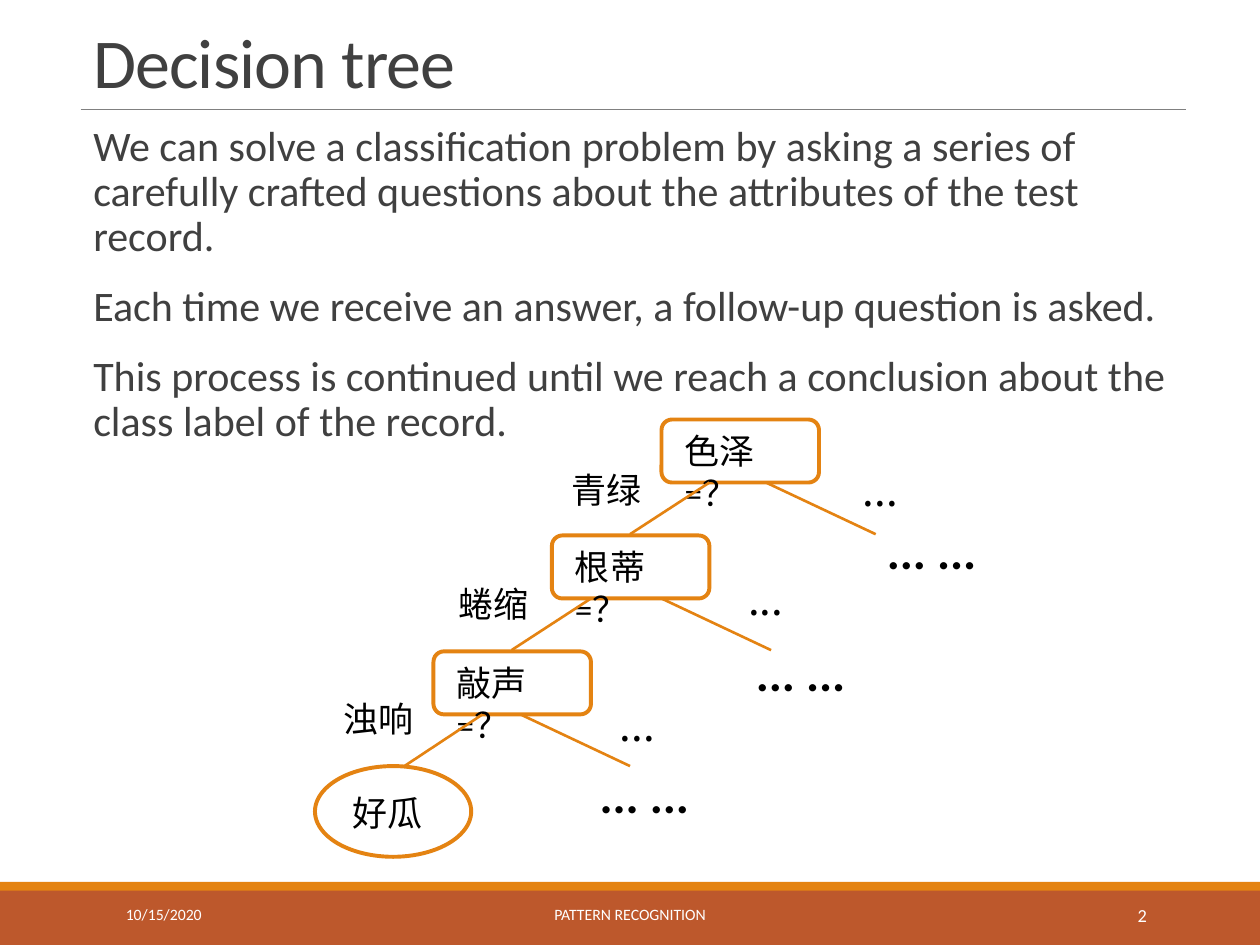
from lxml.etree import SubElement
from pptx import Presentation
from pptx.dml.color import RGBColor
from pptx.enum.shapes import MSO_CONNECTOR, MSO_SHAPE as Shape
from pptx.enum.text import MSO_ANCHOR as Anchor, PP_ALIGN as Align
from pptx.oxml.ns import qn
from pptx.util import Inches, Pt

ORANGE = RGBColor(0xE4, 0x83, 0x12)
RUST = RGBColor(0xBD, 0x58, 0x2C)
INK = RGBColor(0x40, 0x40, 0x40)
GRAY = RGBColor(0x80, 0x80, 0x80)
BLACK = RGBColor(0, 0, 0)
WHITE = RGBColor(0xFF, 0xFF, 0xFF)
LATIN, CJK = "Calibri", "Noto Sans CJK SC"

# Content
TITLE = "Decision tree"
BODY = [
    "We can solve a classification problem by asking a series of carefully "
    "crafted questions about the attributes of the test record.",
    "Each time we receive an answer, a follow-up question is asked.",
    "This process is continued until we reach a conclusion about the class "
    "label of the record.",
]
FOOTER = [  # text, left, width, size, alignment
    ("10/15/2020", 0.9, 2.03, 9, Align.LEFT),
    ("PATTERN RECOGNITION", 3.02, 3.96, 9, Align.CENTER),
    ("2", 8.12, 1.08, 10.5, Align.RIGHT),
]
# Each level: question, node left, answer, then places of the answer label,
# the other-answer label and the unexplored branch
LEVELS = [
    ("色泽=？", 5.25, "青绿", (4.44, 3.67), (6.75, 3.64), (6.94, 4.08)),
    ("根蒂=？", 4.38, "蜷缩", (3.54, 4.57), (5.84, 4.5), (5.9, 5.05)),
    ("敲声=？", 3.44, "浊响", (2.63, 5.49), (4.82, 5.5), (4.66, 6.02)),
]
LEAF = "好瓜"

# Layout
WIDTH, HEIGHT = 10, 7.5
MARGIN, TEXT_WIDTH, RULE_Y = 0.64, 8.77, 0.87
FOOT_Y = 7.06
TREE_TOP, LEVEL_STEP = 3.33, 0.92
NODE_W, NODE_H = 1.25, 0.5
LABEL_W, LABEL_H = 1.08, 0.44
LEAF_BOX = (2.5, 6.08, 1.24, 0.72)
BRANCH_W, BRANCH_H = 0.87, 0.41
# Horizontal ends of the left branch, and start of the right one, per level
BRANCHES = [(5.63, 5, 6.08), (4.69, 4.06, 5.25), (3.83, 3.21, 4.13)]


def inches(*values):
    return [Inches(value) for value in values]


def place(shape, *bounds):
    shape.left, shape.top, shape.width, shape.height = inches(*bounds)


def style(para, size, color, font=LATIN, bold=False):
    for span in para.runs:
        span.font.size, span.font.name, span.font.bold = Pt(size), font, bold
        span.font.color.rgb = color
        SubElement(span.font._element, qn("a:ea")).set("typeface", CJK)


def add_text(shapes, text, bounds, size=20, color=BLACK, font=LATIN,
             bold=False, align=Align.LEFT, anchor=Anchor.TOP):
    box = shapes.add_textbox(*inches(*bounds))
    frame = box.text_frame
    frame.word_wrap, frame.vertical_anchor = True, anchor
    frame.text = text
    para = frame.paragraphs[0]
    para.alignment = align
    style(para, size, color, font, bold)


def add_outline(shapes, kind, bounds):
    shape = shapes.add_shape(kind, *inches(*bounds))
    shape.shadow.inherit = False
    shape.fill.background()
    shape.line.color.rgb, shape.line.width = ORANGE, Pt(2.25)


def add_band(shapes, top, height, color):
    band = shapes.add_shape(Shape.RECTANGLE, *inches(0, top, WIDTH, height))
    band.shadow.inherit = False
    band.fill.solid()
    band.fill.fore_color.rgb = color
    band.line.fill.background()


def add_line(shapes, start, end, color=ORANGE, width=1.5):
    line = shapes.add_connector(MSO_CONNECTOR.STRAIGHT, *inches(*start, *end))
    line.line.color.rgb, line.line.width = color, Pt(width)
    SubElement(line._element.spPr, qn("a:effectLst"))


def add_frame(shapes):
    add_band(shapes, FOOT_Y, HEIGHT - FOOT_Y, RUST)
    add_band(shapes, 7, 0.07, ORANGE)
    add_line(shapes, (MARGIN, RULE_Y), (MARGIN + TEXT_WIDTH, RULE_Y), GRAY, 0.5)
    for text, left, width, size, align in FOOTER:
        add_text(shapes, text, (left, FOOT_Y, width, 0.4), size, WHITE,
                 align=align, anchor=Anchor.MIDDLE)


def fill_title(title):
    place(title, MARGIN, 0.13, TEXT_WIDTH, 0.74)
    frame = title.text_frame
    frame.text, frame.vertical_anchor = TITLE, Anchor.BOTTOM
    para = frame.paragraphs[0]
    para.alignment, para.line_spacing = Align.LEFT, 0.85
    style(para, 40, INK)
    para.runs[0].font._element.set("spc", "-50")


def fill_body(body):
    place(body, MARGIN, 0.94, TEXT_WIDTH, 5.95)
    frame = body.text_frame
    frame.margin_left = frame.margin_right = 0
    frame.text = "\n".join(BODY)
    for index, para in enumerate(frame.paragraphs):
        para.line_spacing = 0.9
        para.space_before, para.space_after = Pt(12 if index else 0), Pt(2)
        props = para._p.get_or_add_pPr()
        props.set("marL", str(Inches(0.1)))
        props.set("indent", str(Inches(-0.1)))
        SubElement(props, qn("a:buChar")).set("char", " ")
        style(para, 24, INK)


def add_tree(shapes):
    pad = (NODE_W - LABEL_W) / 2
    # Question nodes and the leaf
    for row, (question, left, *_) in enumerate(LEVELS):
        top = TREE_TOP + row * LEVEL_STEP
        node = shapes.add_group_shape().shapes
        add_outline(node, Shape.ROUNDED_RECTANGLE, (left, top, NODE_W, NODE_H))
        add_text(node, question, (left + pad, top + 0.03, LABEL_W, LABEL_H))
    add_outline(shapes, Shape.OVAL, LEAF_BOX)
    add_text(shapes, LEAF, (2.7, 6.23, 0.84, LABEL_H))

    # Branches and their labels
    for row, (level, ends) in enumerate(zip(LEVELS, BRANCHES)):
        _, _, answer, answer_at, other_at, rest_at = level
        start_x, end_x, right_x = ends
        top = TREE_TOP + row * LEVEL_STEP + NODE_H
        bottom = top + BRANCH_H
        add_line(shapes, (start_x, top), (end_x, bottom))
        add_line(shapes, (right_x, top), (right_x + BRANCH_W, bottom))
        add_text(shapes, answer, (*answer_at, LABEL_W, LABEL_H), font=CJK)
        add_text(shapes, "... ...", (*rest_at, LABEL_W, 0.57), 28, bold=True)
        add_text(shapes, "...", (*other_at, 0.77, 0.5), 24, font=CJK)


def main():
    deck = Presentation()
    deck.slide_width, deck.slide_height = inches(WIDTH, HEIGHT)
    page = deck.slides.add_slide(deck.slide_layouts[1])
    add_frame(page.shapes)
    fill_title(page.shapes.title)
    fill_body(page.placeholders[1])
    add_tree(page.shapes)
    deck.save("out.pptx")


if __name__ == "__main__":
    main()
